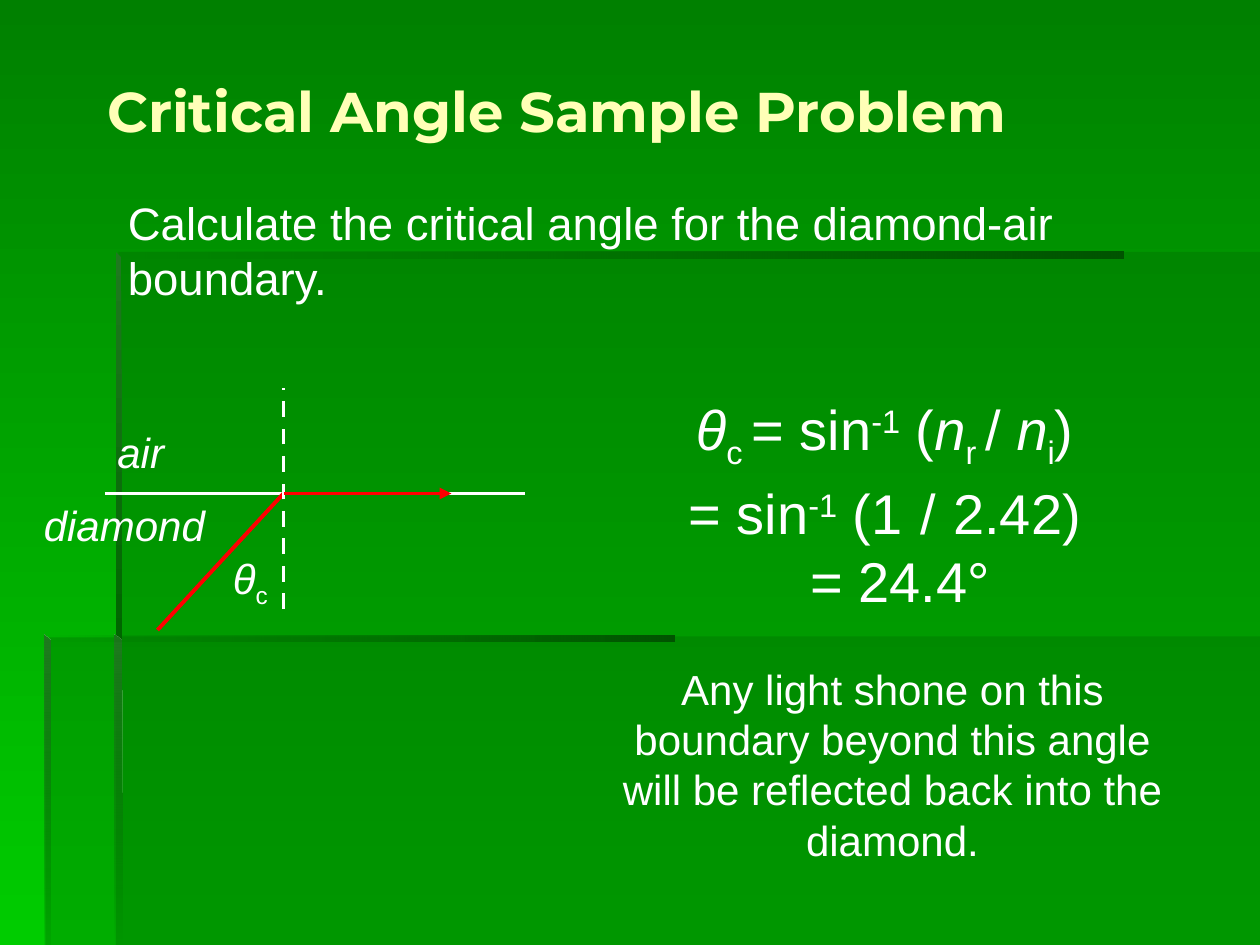
"""Build the critical angle sample problem slide."""
from dataclasses import dataclass, field
from typing import Any, NamedTuple

from pptx import Presentation
from pptx.dml.color import RGBColor
from pptx.enum.dml import MSO_LINE
from pptx.enum.shapes import MSO_CONNECTOR
from pptx.enum.text import MSO_ANCHOR, MSO_AUTO_SIZE, PP_ALIGN
from pptx.oxml.ns import qn
from pptx.oxml.xmlchemy import OxmlElement
from pptx.util import Pt

WHITE, RED, CREAM = "FFFFFF", "FF0000", "FFFFB7"
SHADE, DARK_EDGE, LIGHT_EDGE = "006600", "005400", "1F791F"
ACROSS, DOWN = 0, 270
SUB, SUPER = -25, 30
WIDTH, HEIGHT = 720, 540


class Stop(NamedTuple):
    color: str
    alpha: int = 100


class Band(NamedTuple):
    points: list[tuple[float, float]]
    stops: list[Stop]
    angle: int = ACROSS


class Piece(NamedTuple):
    text: str
    italic: bool = False
    baseline: int = 0
    size: int | None = None


@dataclass
class Line:
    pieces: list[Piece]
    size: int = 24
    formats: dict[str, Any] = field(default_factory=dict)


class Label(NamedTuple):
    box: tuple[float, float, float, float]
    lines: list[Line]


class Ray(NamedTuple):
    start: tuple[float, float]
    end: tuple[float, float]
    color: str
    dash: MSO_LINE | None = None
    arrow: bool = False


def rgb(color: str) -> RGBColor:
    """Turn a hex string into a colour."""
    return RGBColor.from_string(color)


def apply(target: Any, formats: dict[str, Any]) -> None:
    """Set every named format value on the target."""
    for name, value in formats.items():
        setattr(target, name, value)


def fill_gradient(fill: Any, stops: list[Stop], angle: int) -> None:
    """Fill with a two-stop linear gradient."""
    fill.gradient()
    fill.gradient_angle = angle
    for position, (target, stop) in enumerate(zip(fill.gradient_stops, stops)):
        apply(target, {"position": position})
        target.color.rgb = rgb(stop.color)


def draw_band(slide: Any, band: Band) -> None:
    """Draw one translucent or shaded panel of the backdrop."""
    first, *rest = [(Pt(x), Pt(y)) for x, y in band.points]
    builder = slide.shapes.build_freeform(*first)
    builder.add_line_segments(rest, close=True)
    panel = builder.convert_to_shape()
    panel.shadow.inherit = False
    panel.line.fill.background()
    if len(band.stops) == 1:
        panel.fill.solid()
        panel.fill.fore_color.rgb = rgb(band.stops[0].color)
    else:
        fill_gradient(panel.fill, band.stops, band.angle)
    for color, stop in zip(panel.element.spPr.iter(qn("a:srgbClr")), band.stops):
        alpha = OxmlElement("a:alpha")
        alpha.set("val", str(stop.alpha * 1000))
        color.append(alpha)


def draw_ray(slide: Any, ray: Ray) -> None:
    """Draw one straight line of the ray diagram."""
    ends = [Pt(value) for value in (*ray.start, *ray.end)]
    connector = slide.shapes.add_connector(MSO_CONNECTOR.STRAIGHT, *ends)
    connector.line.color.rgb = rgb(ray.color)
    apply(connector.line, {"width": Pt(2.25), "dash_style": ray.dash})
    if ray.arrow:
        head = OxmlElement("a:tailEnd")
        head.set("type", "triangle")
        connector.line.fill
        connector.element.spPr.find(qn("a:ln")).append(head)
    connector.element.spPr.append(OxmlElement("a:effectLst"))


def write_label(slide: Any, label: Label) -> None:
    """Write a text box of formatted lines."""
    frame = slide.shapes.add_textbox(*map(Pt, label.box)).text_frame
    apply(frame, {"word_wrap": True, "auto_size": MSO_AUTO_SIZE.SHAPE_TO_FIT_TEXT})
    for index, line in enumerate(label.lines):
        paragraph = frame.add_paragraph() if index else frame.paragraphs[0]
        apply(paragraph, line.formats)
        for piece in line.pieces:
            run = paragraph.add_run()
            run.text = piece.text
            apply(run.font, {"name": "Arial", "size": Pt(piece.size or line.size),
                             "italic": piece.italic})
            run.font.color.rgb = rgb(WHITE)
            if piece.baseline:
                run._r.get_or_add_rPr().set("baseline", str(piece.baseline * 1000))


def write_title(slide: Any, text: str) -> None:
    """Place and format the slide title."""
    title = slide.shapes.title
    apply(title, {"left": Pt(54), "top": Pt(18), "width": Pt(612), "height": Pt(90)})
    title.text_frame.text = text
    title.text_frame.vertical_anchor = MSO_ANCHOR.MIDDLE
    paragraph = title.text_frame.paragraphs[0]
    paragraph.alignment = PP_ALIGN.LEFT
    apply(paragraph.font, {"name": "Montserrat", "size": Pt(32), "bold": True})
    paragraph.font.color.rgb = rgb(CREAM)


PANEL = [Stop(SHADE, 30)]
FADE_IN = [Stop(SHADE, 0), Stop(DARK_EDGE)]
BANDS = [
    Band([(66.2, 363.6), (66.2, HEIGHT), (WIDTH, HEIGHT), (WIDTH, 363.6)], PANEL),
    Band([(67.7, 364.3), (25.9, 364.3), (25.9, HEIGHT), (WIDTH, HEIGHT),
          (WIDTH, 144), (67.7, 144)], PANEL),
    Band([(66.2, 144), (66.2, 147.6), (641.8, 147.6), (641.8, 144)], FADE_IN),
    Band([(66.2, 144), (66.2, 367.2), (69.8, 367.2), (69.1, 146.9)],
         [Stop(LIGHT_EDGE), Stop(SHADE)], DOWN),
    Band([(65.5, HEIGHT), (69.8, HEIGHT), (69.1, 365.8), (65.5, 362.9)],
         [Stop(LIGHT_EDGE), Stop(SHADE, 0)], DOWN),
    Band([(25.2, 362.9), (25.2, 366.5), (385.2, 366.5), (385.2, 362.9)], FADE_IN),
    Band([(25.2, 362.9), (25.2, HEIGHT), (28.8, HEIGHT), (28.8, 366.5)],
         [Stop(LIGHT_EDGE), Stop(SHADE, 10)], DOWN),
]

HIT = (162, 282)
RAYS = [
    Ray((60, 282), (300, 282), WHITE),
    Ray(HIT, (90, 360), RED),
    Ray((162, 348), (162, 222), WHITE, MSO_LINE.DASH),
    Ray(HIT, (258, 282), RED, arrow=True),
]

CENTERED = {"alignment": PP_ALIGN.CENTER}
THETA = Piece("θ", italic=True)
INVERSE = Piece("-1", baseline=SUPER)
LABELS = [
    Label((66, 108, 630, 101), [Line([Piece(
        "Calculate the critical angle for the diamond-air boundary.")], 26)]),
    Label((336, 222, 348, 305), [
        Line([THETA, Piece("c ", baseline=SUB), Piece("= sin"), INVERSE, Piece(" ("),
              Piece("n", italic=True), Piece("r ", baseline=SUB), Piece("/ "),
              Piece("n", italic=True), Piece("i", baseline=SUB), Piece(") ")],
             32, CENTERED),
        Line([Piece("= sin"), INVERSE, Piece(" (1"), Piece(" ", size=36), Piece("/"),
              Piece(" ", size=36), Piece("2.42) ")], 32, CENTERED),
        Line([Piece(" = 24.4°")], 32, CENTERED),
        Line([Piece("Any light shone on this boundary beyond this angle "
                    "will be reflected back into the diamond.")],
             24, CENTERED | {"space_before": Pt(28)}),
    ]),
    Label((126, 312, 72, 40), [Line([THETA, Piece("c", baseline=SUB)])]),
    Label((60, 240, 66, 36), [Line([Piece("air", italic=True)])]),
    Label((18, 282, 108, 36), [Line([Piece("diamond", italic=True)])]),
]


def main() -> None:
    """Assemble and save the slide."""
    deck = Presentation()
    apply(deck, {"slide_width": Pt(WIDTH), "slide_height": Pt(HEIGHT)})
    slide = deck.slides.add_slide(deck.slide_layouts[5])
    fill_gradient(slide.background.fill, [Stop("008000"), Stop("00CC00")], DOWN)
    write_title(slide, "Critical Angle Sample Problem")
    for draw, parts in ((draw_band, BANDS), (draw_ray, RAYS), (write_label, LABELS)):
        for part in parts:
            draw(slide, part)
    deck.save("out.pptx")


if __name__ == "__main__":
    main()
